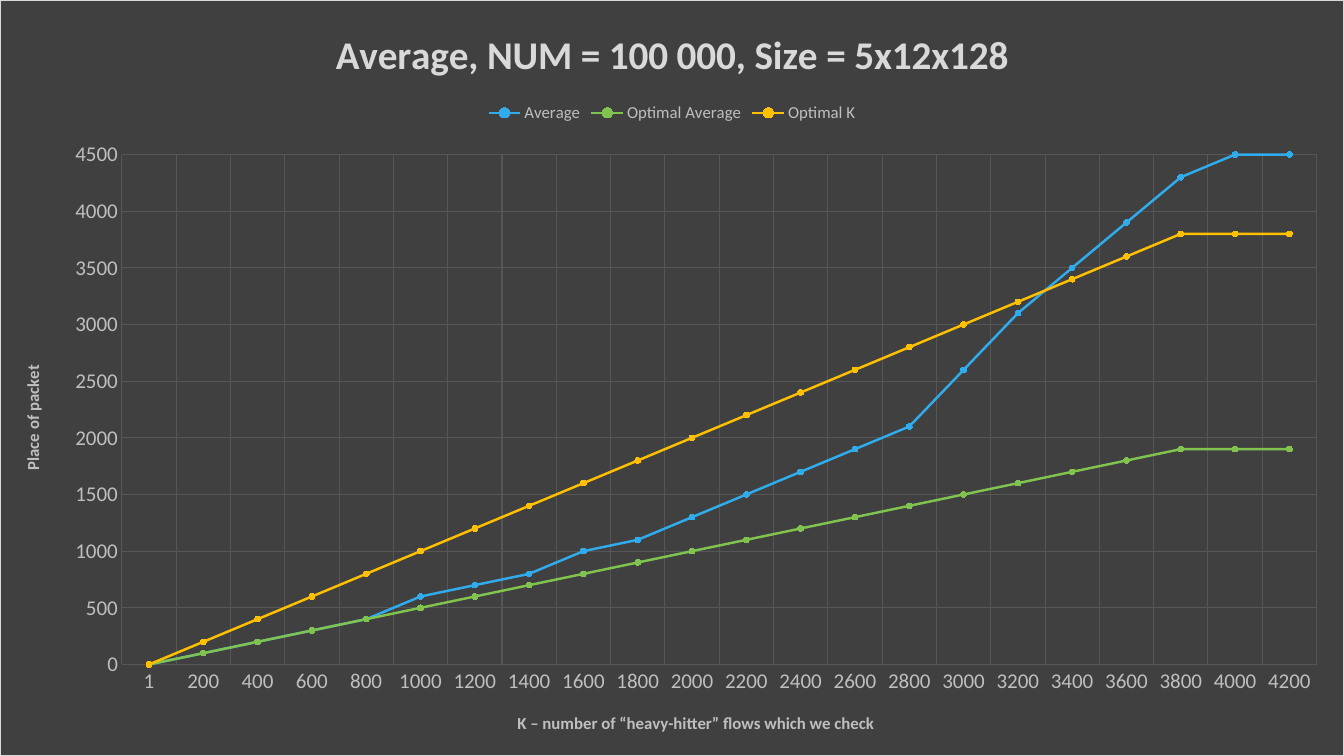
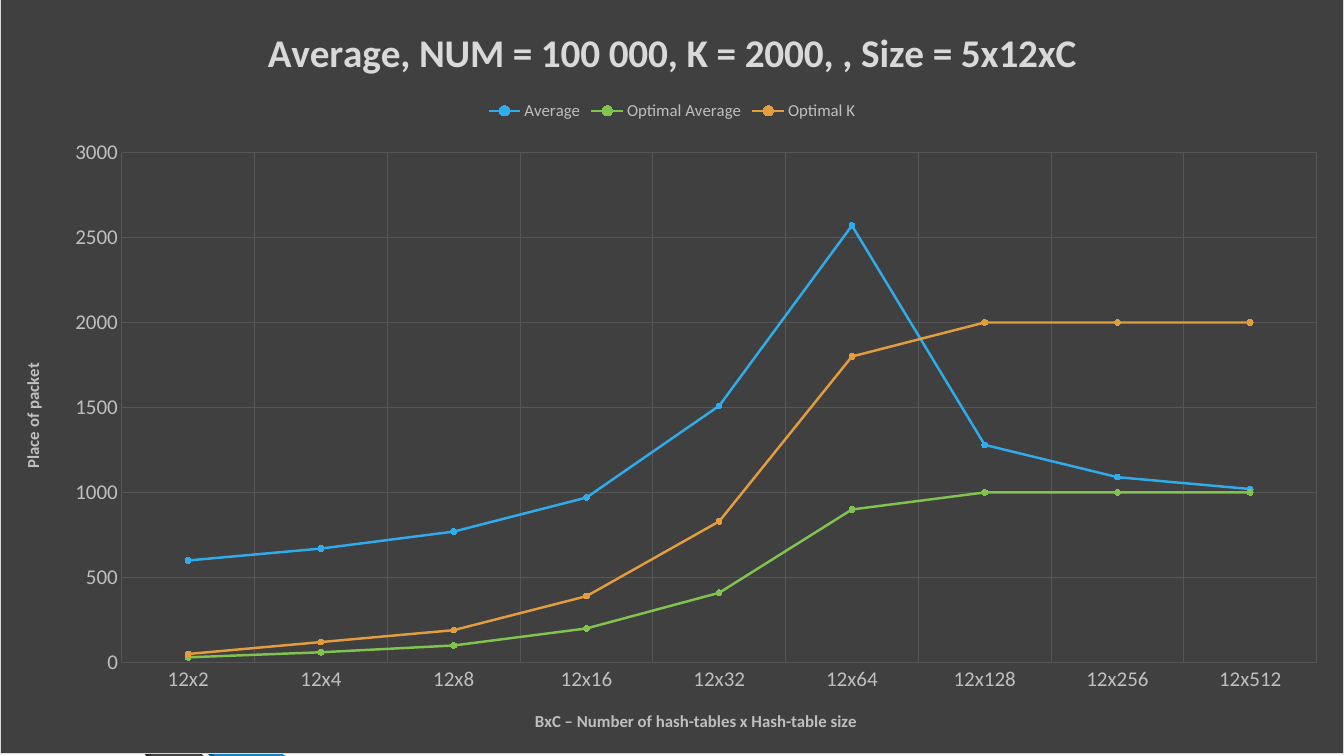
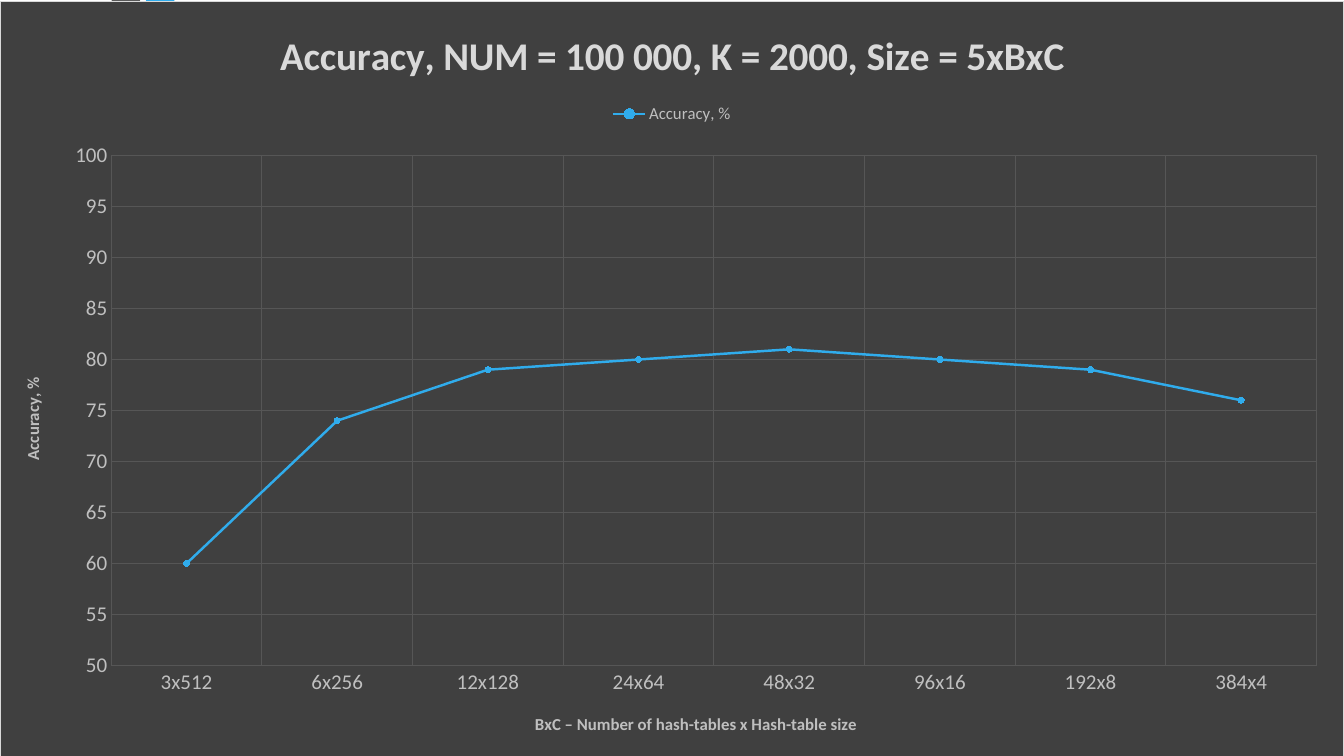
"""Build three dark line-chart slides on a master with ribbon shapes."""
from lxml.etree import fromstring
from pptx import Presentation
from pptx.chart.data import CategoryChartData
from pptx.dml.color import RGBColor
from pptx.enum.chart import XL_CHART_TYPE, XL_LEGEND_POSITION, XL_MARKER_STYLE, XL_TICK_MARK
from pptx.util import Inches, Pt

FONT = "Calibri"
BLUE, GREEN, YELLOW, ORANGE = "30ACEC", "80C34F", "FFC000", "E29D3E"
PANEL, BORDER, GRID = "404040", "D9D9D9", "565656"
TITLE_COLOR, TEXT_COLOR = "D9D9D9", "BFBFBF"
HUNDREDTH_INCH = Inches(0.01)

RIBBONS = [
    (BLUE, [(50, 578), (77, 583), (173, 0), (145, 0)]),
    ("595959", [(139, 0), (111, 0), (16, 573), (44, 577)]),
    ("262626", [(16, 573), (145, 750), (151, 750)]),
    ("0C5A82", [(50, 579), (208, 750), (214, 750)]),
    ("1287C3", [(50, 579), (214, 750), (283, 750), (77, 583), (50, 578)]),
    (PANEL, [(202, 750), (48, 583), (43, 578), (44, 577), (16, 573), (151, 750)]),
]

FLOWS = range(0, 4201, 200)
LAST_FLOW = 3800
TABLES_LABEL = "BxC – Number of hash-tables x Hash-table size"

SLIDES = [
    {
        "title": "Average, NUM = 100 000, Size = 5x12x128",
        "top": 0,
        "category_title": "K – number of “heavy-hitter” flows which we check",
        "value_title": "Place of packet",
        "scale": (0, 4500, 500),
        "categories": [str(flow or 1) for flow in FLOWS],
        "series": [
            ("Average", BLUE, [0, 100, 200, 300, 400, 600, 700, 800, 1000, 1100, 1300,
                               1500, 1700, 1900, 2100, 2600, 3100, 3500, 3900, 4300,
                               4500, 4500]),
            ("Optimal Average", GREEN, [min(flow, LAST_FLOW) // 2 for flow in FLOWS]),
            ("Optimal K", YELLOW, [min(flow, LAST_FLOW) for flow in FLOWS]),
        ],
    },
    {
        "title": "Average, NUM = 100 000, K = 2000, , Size = 5x12xC",
        "top": -0.02,
        "category_title": TABLES_LABEL,
        "value_title": "Place of packet",
        "scale": (0, 3000, 500),
        "categories": [f"12x{2 ** power}" for power in range(1, 10)],
        "series": [
            ("Average", BLUE, [600, 670, 770, 970, 1510, 2570, 1280, 1090, 1020]),
            ("Optimal Average", GREEN, [30, 60, 100, 200, 410, 900, 1000, 1000, 1000]),
            ("Optimal K", ORANGE, [50, 120, 190, 390, 830, 1800, 2000, 2000, 2000]),
        ],
    },
    {
        "title": "Accuracy, NUM = 100 000, K = 2000, Size = 5xBxC",
        "top": 0.01,
        "category_title": TABLES_LABEL,
        "value_title": "Accuracy, %",
        "scale": (50, 100, 5),
        "categories": [f"{3 * 2 ** step}x{512 // 2 ** step}" for step in range(8)],
        "series": [("Accuracy, %", BLUE, [60, 74, 79, 80, 81, 80, 79, 76])],
    },
]


def color(value):
    return RGBColor.from_string(value)


def style_font(font, size, value, bold=False):
    font.name, font.size, font.bold = FONT, Pt(size), bold
    font.color.rgb = color(value)


def style_line(line, value, width):
    line.color.rgb = color(value)
    line.width = Pt(width)


def set_title(title, text, size, value):
    title.text_frame.text = text
    style_font(title.text_frame.paragraphs[0].runs[0].font, size, value, bold=True)


def add_ribbons(master, slide):
    for number, (fill, points) in enumerate(RIBBONS):
        builder = slide.shapes.build_freeform(*points[0], scale=HUNDREDTH_INCH)
        builder.add_line_segments(points[1:], close=True)
        shape = builder.convert_to_shape()
        shape.shadow.inherit = False
        shape.fill.solid()
        shape.fill.fore_color.rgb = color(fill)
        shape.line.fill.background()
        shape.element.nvSpPr.cNvPr.set("id", str(100 + number))
        master.shapes.element.append(shape.element)


def style_axis(axis, title):
    axis.major_tick_mark = axis.minor_tick_mark = XL_TICK_MARK.NONE
    axis.format.line.fill.background()
    axis.has_major_gridlines = True
    style_line(axis.major_gridlines.format.line, GRID, 0.75)
    style_font(axis.tick_labels.font, 15, TEXT_COLOR)
    set_title(axis.axis_title, title, 12, TEXT_COLOR)


def style_panel(chart):
    panel = fromstring(
        '<c:spPr xmlns:c="http://schemas.openxmlformats.org/drawingml/2006/chart"'
        ' xmlns:a="http://schemas.openxmlformats.org/drawingml/2006/main">'
        f'<a:solidFill><a:srgbClr val="{PANEL}"/></a:solidFill>'
        f'<a:ln w="{Pt(0.75)}"><a:solidFill><a:srgbClr val="{BORDER}"/></a:solidFill></a:ln>'
        '</c:spPr>')
    chart.element.xpath("c:chart")[0].addnext(panel)


def add_line_chart(slide, content, width, height):
    data = CategoryChartData()
    data.categories = content["categories"]
    for name, _, values in content["series"]:
        data.add_series(name, values)
    chart = slide.shapes.add_chart(XL_CHART_TYPE.LINE_MARKERS, 0, Inches(content["top"]),
                                   width, height, data).chart
    style_font(chart.font, 10, TEXT_COLOR)
    style_panel(chart)
    chart.has_title = True
    set_title(chart.chart_title, content["title"], 28, TITLE_COLOR)
    chart.chart_title.include_in_layout = False
    chart.has_legend = True
    chart.legend.position = XL_LEGEND_POSITION.TOP
    chart.legend.include_in_layout = False
    style_font(chart.legend.font, 12, TEXT_COLOR)

    style_axis(chart.category_axis, content["category_title"])
    axis = chart.value_axis
    style_axis(axis, content["value_title"])
    axis.axis_title.element.xpath(".//a:bodyPr")[0].set("rot", "-5400000")
    axis.minimum_scale, axis.maximum_scale, axis.major_unit = content["scale"]

    chart.plots[0].vary_by_categories = False
    for series, (_, value, _) in zip(chart.plots[0].series, content["series"]):
        series.smooth = False
        style_line(series.format.line, value, 1.75)
        series.marker.style = XL_MARKER_STYLE.CIRCLE
        series.marker.size = 4
        series.marker.format.fill.solid()
        series.marker.format.fill.fore_color.rgb = color(value)
        series.marker.format.line.fill.background()


def main():
    presentation = Presentation()
    presentation.slide_width, presentation.slide_height = Inches(13.33), Inches(7.5)
    blank = presentation.slide_layouts[6]
    slides = [presentation.slides.add_slide(blank) for _ in SLIDES]
    add_ribbons(presentation.slide_master, slides[0])
    for slide, content in zip(slides, SLIDES):
        add_line_chart(slide, content, presentation.slide_width, presentation.slide_height)
    presentation.save("out.pptx")


if __name__ == "__main__":
    main()
